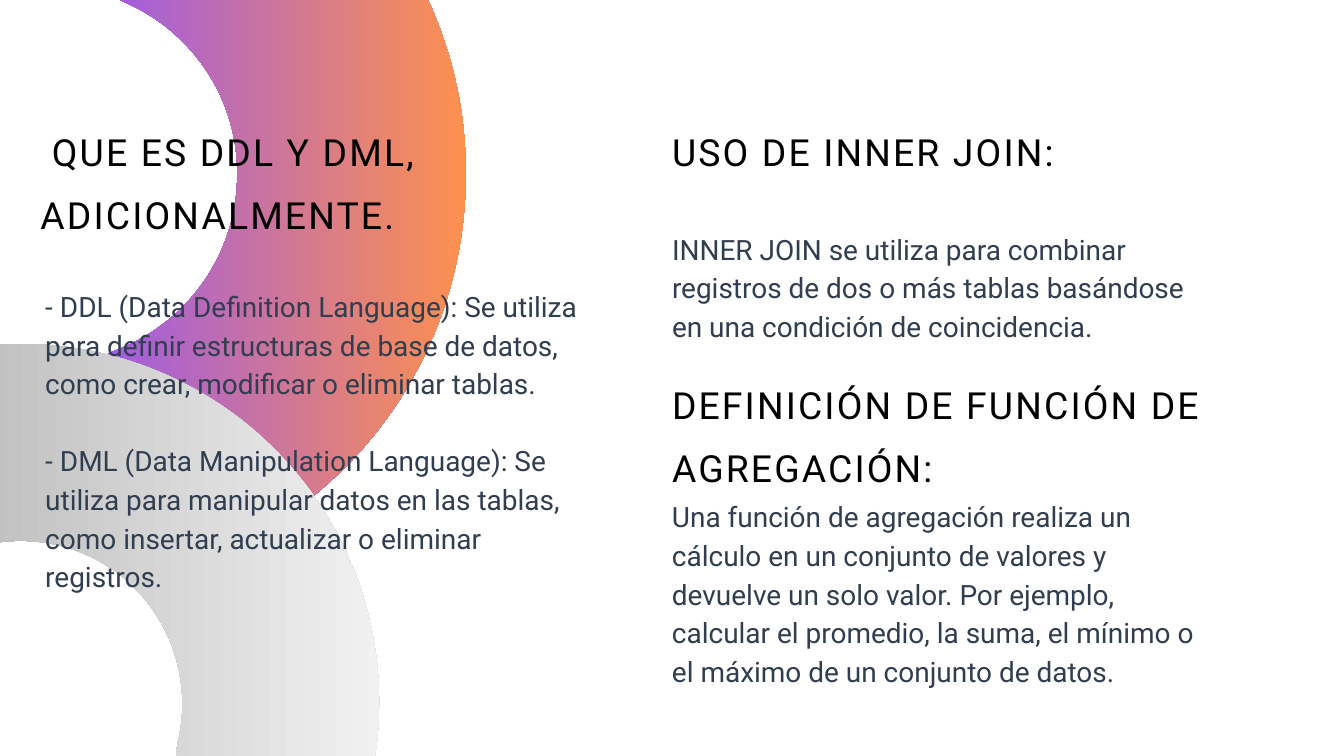
from lxml import etree
from pptx import Presentation
from pptx.dml.color import RGBColor
from pptx.enum.text import MSO_ANCHOR, MSO_AUTO_SIZE, PP_ALIGN
from pptx.oxml.ns import qn
from pptx.util import Cm, Pt

TOP, LEFT, NO_FIT = MSO_ANCHOR.TOP, PP_ALIGN.LEFT, MSO_AUTO_SIZE.NONE
INCH = 2.54

HEADING = dict(size=40, color="000000", leading=68, spacing=2.36)
BODY = dict(size=30, color="313E50", leading=41.4, spacing=0)

TEXTS = [
    (0, (1.53, 4.17, 23.01, 4.62), HEADING, [" QUE ES DDL Y DML, ADICIONALMENTE."]),
    (2, (1.71, 10.75, 20.55, 13.08), BODY, [
        "- DDL (Data Definition Language): Se utiliza para definir estructuras "
        "de base de datos, como crear, modificar o eliminar tablas.",
        "- DML (Data Manipulation Language): Se utiliza para manipular datos en "
        "las tablas, como insertar, actualizar o eliminar registros."]),
    (1, (25.4, 4.17, 24.18, 2.24), HEADING, ["USO DE INNER JOIN:"]),
    (4, (25.4, 8.59, 20.55, 5.82), BODY, [
        "INNER JOIN se utiliza para combinar registros de dos o más tablas "
        "basándose en una condición de coincidencia."]),
    (3, (25.4, 13.74, 24.18, 4.62), HEADING, ["DEFINICIÓN DE FUNCIÓN DE AGREGACIÓN:"]),
    (None, (25.4, 18.71, 20.55, 8.74), BODY, [
        "Una función de agregación realiza un cálculo en un conjunto de valores "
        "y devuelve un solo valor. Por ejemplo, calcular el promedio, la suma, "
        "el mínimo o el máximo de un conjunto de datos."]),
]

ARCS = [
    (("8C52FF", "FF914D"), [
        (0.88, -1.54),
        (0.88, -1.76), (0.93, -1.98), (1.03, -2.2),
        (1.42, -3.05), (2.42, -3.44), (3.27, -3.05),
        (5.55, -2.04), (6.99, 0.23), (6.93, 2.72),
        (6.88, 5.21), (5.36, 7.41), (3.04, 8.34),
        (2.16, 8.69), (1.17, 8.27), (0.83, 7.39),
        (0.48, 6.52), (0.91, 5.53), (1.78, 5.19),
        (2.82, 4.77), (3.51, 3.77), (3.53, 2.65),
        (3.56, 1.53), (2.91, 0.51), (1.89, 0.05),
        (1.25, -0.23), (0.86, -0.88), (0.88, -1.54)]),
    (("A6A6A6", "F3F3F3"), [
        (-2.56, 8.35),
        (-2.71, 8.23), (-2.85, 8.09), (-2.95, 7.92),
        (-3.37, 7.22), (-3.16, 6.33), (-2.47, 5.91),
        (-0.64, 4.78), (1.67, 4.87), (3.42, 6.12),
        (5.16, 7.37), (5.98, 9.53), (5.51, 11.63),
        (5.33, 12.42), (4.55, 12.92), (3.76, 12.74),
        (2.97, 12.56), (2.47, 11.77), (2.66, 10.99),
        (2.86, 10.04), (2.49, 9.07), (1.71, 8.5),
        (0.92, 7.94), (-0.12, 7.9), (-0.94, 8.4),
        (-1.45, 8.72), (-2.1, 8.68), (-2.56, 8.35)]),
]


def rgb(value):
    return RGBColor.from_string(value)


def curve_lines(sp):
    lines = list(sp._element.iter(qn("a:lnTo")))
    for i in range(0, len(lines), 3):
        curve = etree.Element(qn("a:cubicBezTo"))
        lines[i].addprevious(curve)
        for line in lines[i:i + 3]:
            curve.append(line[0])
            line.getparent().remove(line)


def add_arc(s, colors, points):
    points = [(Cm(x * INCH), Cm(y * INCH)) for x, y in points]
    builder = s.shapes.build_freeform(*points[0])
    builder.add_line_segments(points[1:], close=True)
    sp = builder.convert_to_shape()
    curve_lines(sp)
    sp.shadow.inherit = False
    sp.line.fill.background()
    sp.fill.gradient()
    sp.fill.gradient_angle = 0
    for stop, color in zip(sp.fill.gradient_stops, colors):
        stop.color.rgb = rgb(color)
    return sp


def set_text(sp, paragraphs, size, color, leading, spacing):
    tf = sp.text_frame
    tf.word_wrap = True
    tf.auto_size = NO_FIT
    tf.vertical_anchor = TOP
    tf.margin_left = tf.margin_right = tf.margin_top = tf.margin_bottom = 0
    for i, text in enumerate(paragraphs):
        p = tf.paragraphs[0] if i == 0 else tf.add_paragraph()
        p.alignment = LEFT
        p.line_spacing = Pt(leading)
        p.space_before = Pt(leading if i else 0)
        p.space_after = Pt(0)
        pPr = p._p.get_or_add_pPr()
        pPr.set("marL", "0")
        pPr.set("indent", "0")
        etree.SubElement(pPr, qn("a:buNone"))
        r = p.add_run()
        r.text = text
        r.font.name = "Roboto"
        r.font.size = Pt(size)
        r.font.bold = False
        r.font.color.rgb = rgb(color)
        r._r.get_or_add_rPr().set("spc", str(round(spacing * 100)))


def main():
    prs = Presentation()
    prs.slide_width, prs.slide_height = Cm(50.8), Cm(28.58)
    s = prs.slides.add_slide(prs.slide_layouts[4])
    holders = {sp.placeholder_format.idx: sp for sp in s.placeholders}
    for i, arc in enumerate(ARCS):
        sp = add_arc(s, *arc)
        s.shapes._spTree.insert(2 + i, sp._element)
    for idx, box, style, paragraphs in TEXTS:
        place = [Cm(v) for v in box]
        sp = s.shapes.add_textbox(*place) if idx is None else holders[idx]
        sp.left, sp.top, sp.width, sp.height = place
        set_text(sp, paragraphs, **style)
    prs.save("out.pptx")


if __name__ == "__main__":
    main()
